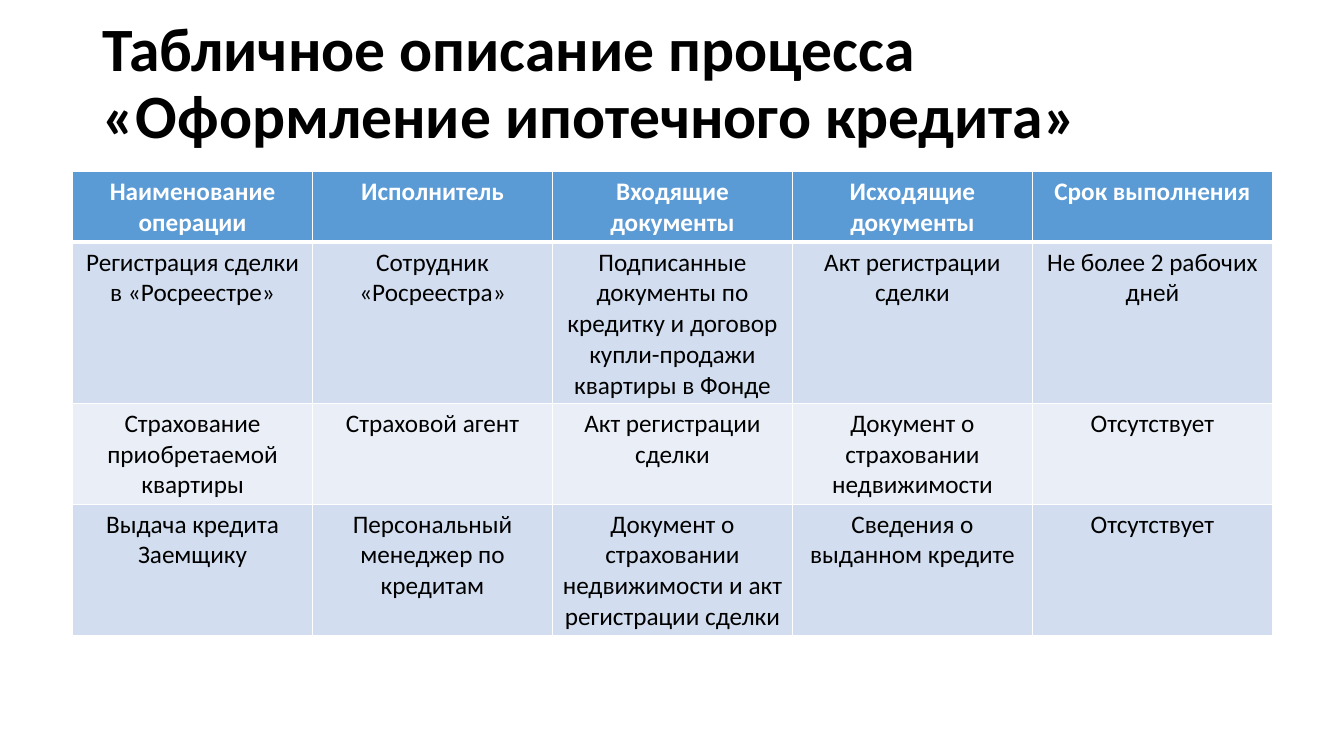
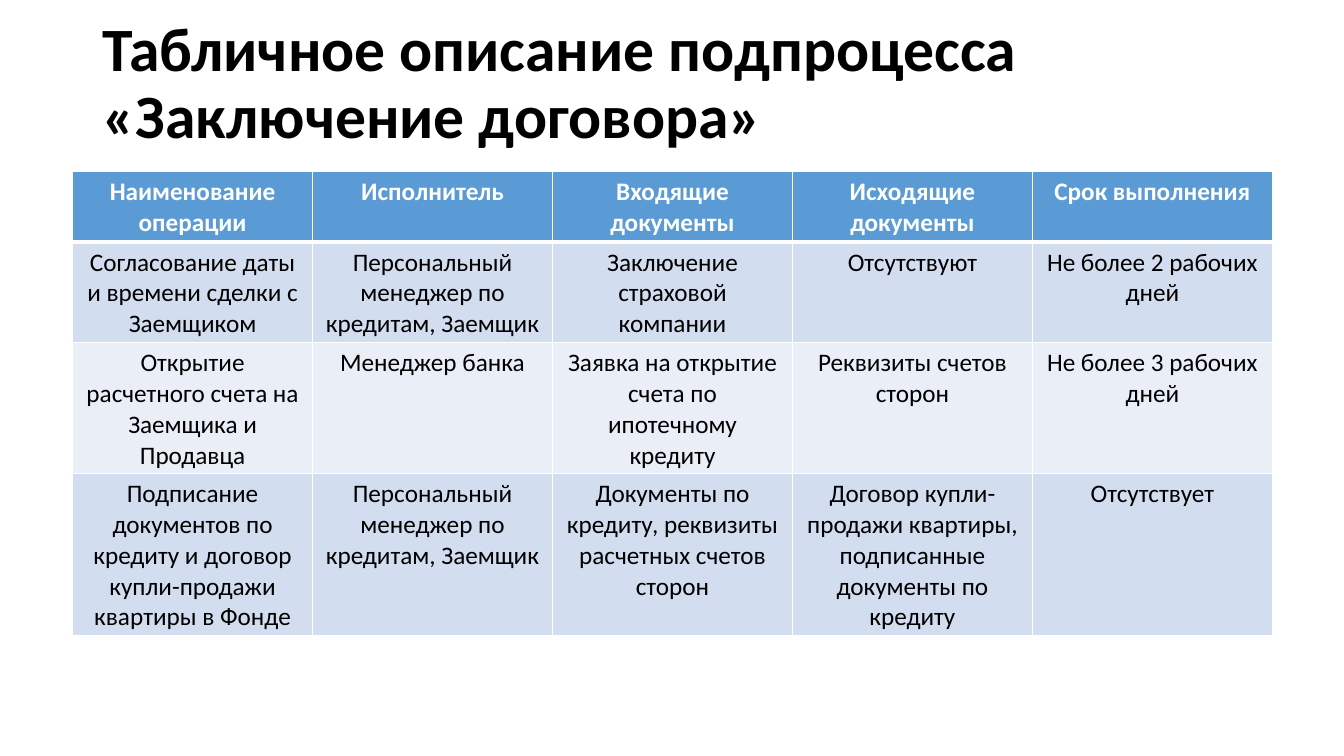
from dataclasses import dataclass

from lxml import etree
from pptx import Presentation
from pptx.dml.color import RGBColor
from pptx.enum.text import MSO_ANCHOR, PP_ALIGN
from pptx.oxml.ns import qn
from pptx.util import Inches, Pt

CENTER = PP_ALIGN.CENTER
MIDDLE = MSO_ANCHOR.MIDDLE


@dataclass(frozen=True)
class Theme:
    font: str = "Calibri"
    title_size: int = 44
    cell_size: int = 18
    text: str = "000000"
    header_text: str = "FFFFFF"
    header_fill: str = "5B9BD5"
    band_fills: tuple = ("D2DEEF", "EAEFF7")
    border: str = "FFFFFF"
    border_width: int = 1
    header_rule_width: int = 3


THEME = Theme()

HEADER = ["Наименование операции", "Исполнитель", "Входящие документы",
          "Исходящие документы", "Срок выполнения"]
COLUMN_WIDTH = 2.38
HEADER_HEIGHT = 0.61
ROW_HEIGHT = 0.99

PROCESSES = [
    ("Табличное описание процесса «Оформление ипотечного кредита»", [
        ["Регистрация сделки в «Росреестре»",
         "Сотрудник «Росреестра»",
         "Подписанные документы по кредитку и договор купли-продажи квартиры в Фонде",
         "Акт регистрации сделки",
         "Не более 2 рабочих дней"],
        ["Страхование приобретаемой квартиры",
         "Страховой агент",
         "Акт регистрации сделки",
         "Документ о страховании недвижимости",
         "Отсутствует"],
        ["Выдача кредита Заемщику",
         "Персональный менеджер по кредитам",
         "Документ о страховании недвижимости и акт регистрации сделки",
         "Сведения о выданном кредите",
         "Отсутствует"],
    ]),
    ("Табличное описание подпроцесса «Заключение договора»", [
        ["Согласование даты и времени сделки с Заемщиком",
         "Персональный менеджер по кредитам, Заемщик",
         "Заключение страховой компании",
         "Отсутствуют",
         "Не более 2 рабочих дней"],
        ["Открытие расчетного счета на Заемщика и Продавца",
         "Менеджер банка",
         "Заявка на открытие счета по ипотечному кредиту",
         "Реквизиты счетов сторон",
         "Не более 3 рабочих дней"],
        ["Подписание документов по кредиту и договор купли-продажи квартиры в Фонде",
         "Персональный менеджер по кредитам, Заемщик",
         "Документы по кредиту, реквизиты расчетных счетов сторон",
         "Договор купли-продажи квартиры, подписанные документы по кредиту",
         "Отсутствует"],
    ]),
]


def write(text_frame, text, size, color, bold):
    """Put one formatted paragraph in the frame and return it."""
    text_frame.text = text
    paragraph = text_frame.paragraphs[0]
    font = paragraph.runs[0].font
    font.name = THEME.font
    font.size = Pt(size)
    font.bold = bold
    font.color.rgb = RGBColor.from_string(color)
    return paragraph


def set_borders(cell, top, bottom):
    """Draw the four cell edges; top and bottom are widths in points."""
    properties = cell._tc.get_or_add_tcPr()
    edges = [("a:lnL", THEME.border_width), ("a:lnR", THEME.border_width),
             ("a:lnT", top), ("a:lnB", bottom)]
    for position, (tag, width) in enumerate(edges):
        line = etree.Element(qn(tag), w=str(Pt(width)))
        fill = etree.SubElement(line, qn("a:solidFill"))
        etree.SubElement(fill, qn("a:srgbClr"), val=THEME.border)
        properties.insert(position, line)


prs = Presentation()
prs.slide_width = Inches(13.33)
prs.slide_height = Inches(7.5)
blank_layout = prs.slide_layouts[6]

for title, operations in PROCESSES:
    slide = prs.slides.add_slide(blank_layout)

    heading = slide.shapes.add_textbox(
        Inches(0.92), Inches(0.12), Inches(11.5), Inches(1.45)).text_frame
    heading.word_wrap = True
    heading.vertical_anchor = MIDDLE
    write(heading, title, THEME.title_size, THEME.text, True).line_spacing = 0.9

    rows = [HEADER] + operations
    table = slide.shapes.add_table(
        len(rows), len(HEADER), Inches(0.72), Inches(1.7),
        Inches(COLUMN_WIDTH * len(HEADER)),
        Inches(HEADER_HEIGHT + ROW_HEIGHT * len(operations))).table
    for column in table.columns:
        column.width = Inches(COLUMN_WIDTH)

    for row_index, row_texts in enumerate(rows):
        is_header = row_index == 0
        table.rows[row_index].height = Inches(HEADER_HEIGHT if is_header else ROW_HEIGHT)
        fill = THEME.header_fill if is_header else THEME.band_fills[(row_index - 1) % 2]
        color = THEME.header_text if is_header else THEME.text
        top = THEME.header_rule_width if row_index == 1 else THEME.border_width
        bottom = THEME.header_rule_width if is_header else THEME.border_width
        for column_index, text in enumerate(row_texts):
            cell = table.cell(row_index, column_index)
            cell.fill.solid()
            cell.fill.fore_color.rgb = RGBColor.from_string(fill)
            set_borders(cell, top, bottom)
            write(cell.text_frame, text, THEME.cell_size, color, is_header).alignment = CENTER

prs.save("out.pptx")
